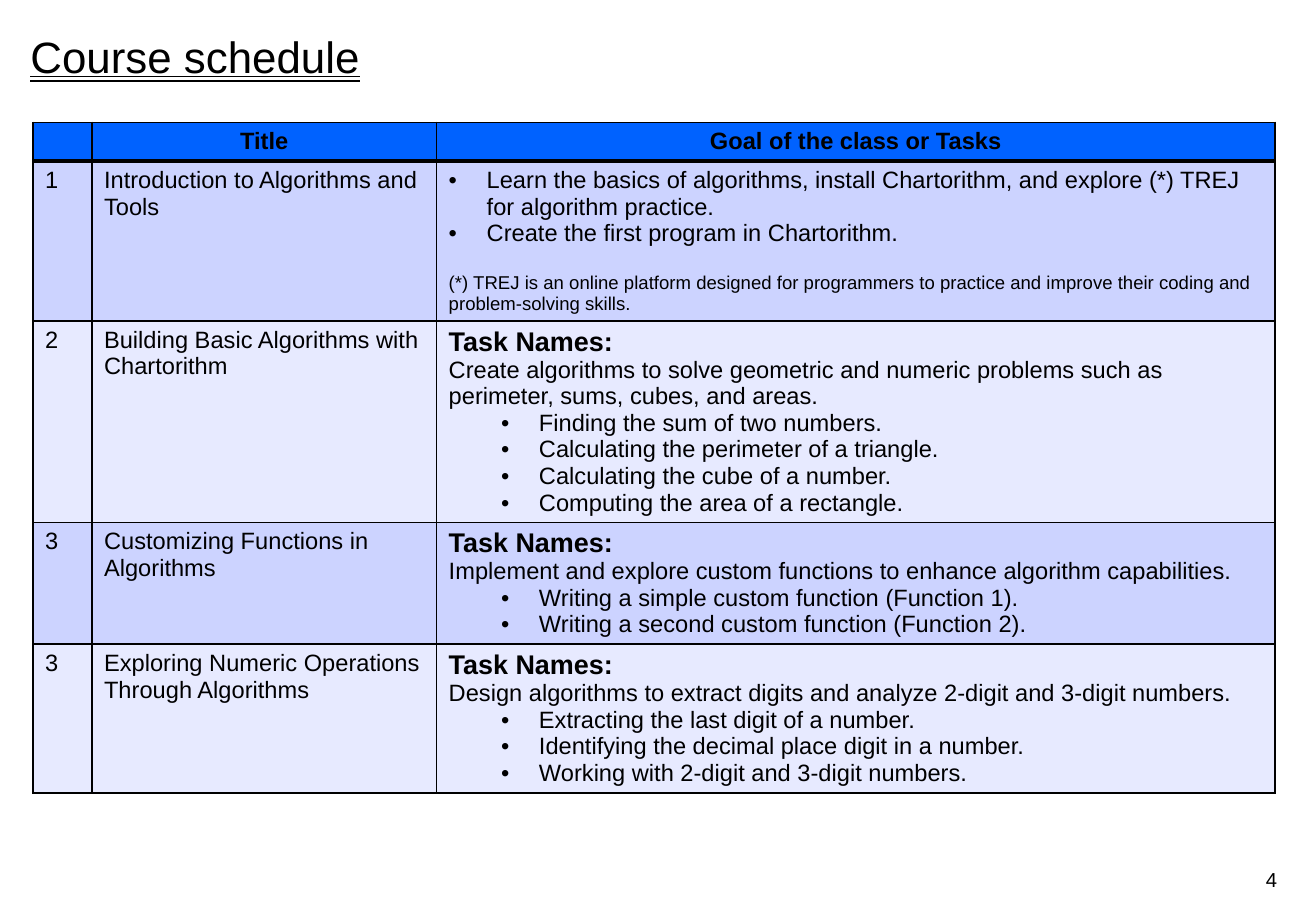
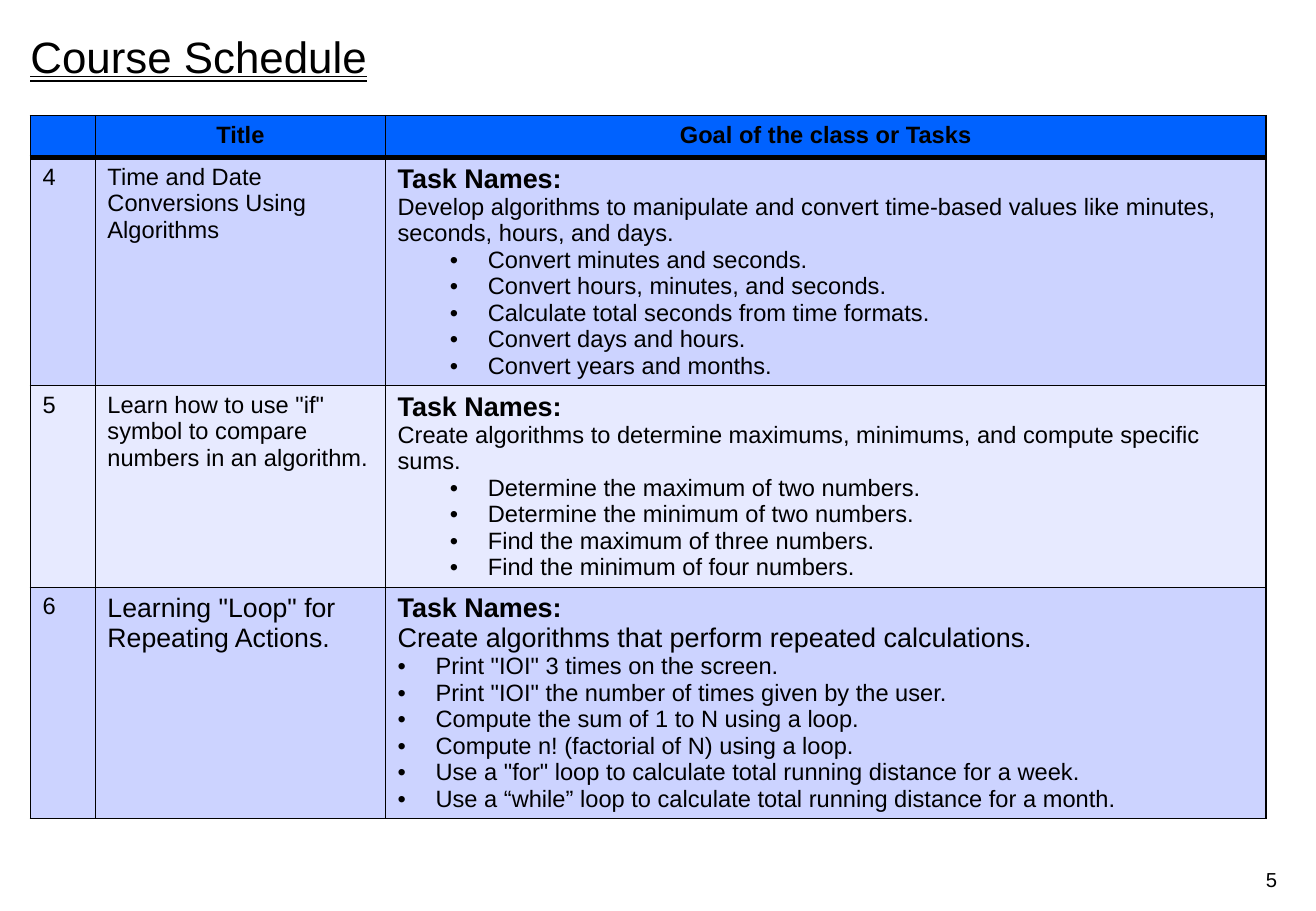
from lxml import etree
from pptx import Presentation
from pptx import util as u
from pptx.dml.color import RGBColor
from pptx.enum import text
from pptx.oxml.ns import qn

Pt = u.Pt

BLACK = RGBColor(0x00, 0x00, 0x00)
HEADER = RGBColor(0x00, 0x62, 0xFF)
BANDS = (RGBColor(0xCC, 0xD3, 0xFF), RGBColor(0xE7, 0xEA, 0xFF))
FONT = "Arial"
HEADINGS = ("", "Title", "Goal of the class or Tasks")

# Paragraph styles: size, bold, centred, bullet indent, level, space before
STYLES = {
    "head": (14, True, True, 0, 0, 0),
    "body": (14, False, False, 0, 0, 0),
    "large": (16, False, False, 0, 0, 0),
    "topic": (15.8, False, False, 0, 0, 0),
    "tasks": (16, True, False, 0, 0, 0),
    "note": (11, False, False, 0, 0, 15.6),
    "bullet": (14, False, False, 22.5, 0, 0),
    "sub": (14, False, False, 53.5, 1, 0),
}
HANGING = 22.5


def paras(style, *lines):
    return [(style, line) for line in lines]


def tasks(goal, *items, goal_style="body", item_style="sub"):
    return (paras("tasks", "Task Names:") + paras(goal_style, goal)
            + paras(item_style, *items))


class Deck:
    """Shared style plus the slide being built."""

    def __init__(self):
        self.prs = Presentation()
        self.prs.slide_width, self.prs.slide_height = Pt(780), Pt(540)
        self.s = None

    def slide(self, title, number):
        self.s = self.prs.slides.add_slide(self.prs.slide_layouts[5])
        self.title(title)
        self.page_number(number)

    def frame(self, sp, anchor):
        tf = sp.text_frame
        tf.word_wrap = True
        tf.auto_size = text.MSO_AUTO_SIZE.NONE
        tf.vertical_anchor = anchor
        tf.margin_left = tf.margin_right = tf.margin_top = tf.margin_bottom = 0
        return tf

    def font(self, r, size, bold=False):
        r.font.name, r.font.size, r.font.bold = FONT, Pt(size), bold
        r.font.color.rgb = BLACK

    def title(self, words):
        sp = self.s.shapes.title
        sp.left, sp.top, sp.width, sp.height = Pt(18), Pt(21), Pt(353.5), Pt(84)
        tf = self.frame(sp, text.MSO_ANCHOR.TOP)
        tf.text = words
        p = tf.paragraphs[0]
        p.alignment, p.line_spacing = text.PP_ALIGN.LEFT, 0.9
        self.font(p.runs[0], 26)
        p.runs[0].font.underline = text.MSO_UNDERLINE.DOUBLE_LINE

    def page_number(self, number):
        sp = self.s.shapes.add_textbox(Pt(565), Pt(512.5), Pt(192), Pt(17.5))
        tf = self.frame(sp, text.MSO_ANCHOR.MIDDLE)
        tf.text = str(number)
        tf.paragraphs[0].alignment = text.PP_ALIGN.RIGHT
        self.font(tf.paragraphs[0].runs[0], 12)

    def paragraph(self, p, style, words):
        size, bold, centred, indent, level, before = STYLES[style]
        p.text = words
        p.alignment = text.PP_ALIGN.CENTER if centred else text.PP_ALIGN.LEFT
        p.level = level
        if before:
            p.space_before = Pt(before)
        for r in p.runs:
            self.font(r, size, bold)
        if not words:
            # Keeps an empty cell from growing to the default size
            end = etree.SubElement(p._p, qn("a:endParaRPr"), sz=str(size * 100))
            etree.SubElement(end, qn("a:latin"), typeface=FONT)
        if indent:
            pPr = p._p.get_or_add_pPr()
            pPr.set("marL", str(Pt(indent)))
            pPr.set("indent", str(-Pt(HANGING)))
            etree.SubElement(pPr, qn("a:buFont"), typeface=FONT)
            etree.SubElement(pPr, qn("a:buChar"), char="•")

    def borders(self, cell, top, bottom):
        tcPr = cell._tc.get_or_add_tcPr()
        widths = {"lnL": 1, "lnR": 1, "lnT": top, "lnB": bottom}
        for i, (side, width) in enumerate(widths.items()):
            ln = etree.Element(qn("a:" + side), w=str(Pt(width)))
            fill = etree.SubElement(ln, qn("a:solidFill"))
            etree.SubElement(fill, qn("a:srgbClr"), val=str(BLACK))
            tcPr.insert(i, ln)

    def cell(self, cell, content, fill, top=1, bottom=1):
        cell.fill.solid()
        cell.fill.fore_color.rgb = fill
        self.borders(cell, top, bottom)
        tf = cell.text_frame
        for i, (style, words) in enumerate(content):
            p = tf.add_paragraph() if i else tf.paragraphs[0]
            self.paragraph(p, style, words)

    def schedule(self, left, top, widths, heights, classes):
        rows = [[paras("head", h) for h in HEADINGS]]
        rows += [[paras("body", number), paras(style, name), goal]
                 for number, style, name, goal in classes]
        tbl = self.s.shapes.add_table(len(rows), len(widths), Pt(left), Pt(top),
                                      Pt(sum(widths)), Pt(sum(heights))).table
        tbl.first_row = tbl.horz_banding = False
        for col, width in zip(tbl.columns, widths):
            col.width = Pt(width)
        for i, (row, height) in enumerate(zip(rows, heights)):
            tbl.rows[i].height = Pt(height)
            for j, content in enumerate(row):
                self.cell(tbl.cell(i, j), content,
                          BANDS[(i - 1) % 2] if i else HEADER,
                          top=3 if i == 1 else 1, bottom=1 if i else 3)


def main():
    d = Deck()

    # Classes 1 to 3
    d.slide("Course schedule", 4)
    d.schedule(19.5, 72.5, (35, 204.3, 497), (23, 94.7, 119.2, 72, 88.3), [
        ("1", "body", "Introduction to Algorithms and Tools",
         paras("bullet",
               "Learn the basics of algorithms, install Chartorithm, and explore "
               "(*) TREJ for algorithm practice.",
               "Create the first program in Chartorithm.")
         + paras("note",
                 "(*) TREJ is an online platform designed for programmers to "
                 "practice and improve their coding and problem-solving skills.")),
        ("2", "body", "Building Basic Algorithms with Chartorithm",
         tasks("Create algorithms to solve geometric and numeric problems such as "
               "perimeter, sums, cubes, and areas.",
               "Finding the sum of two numbers.",
               "Calculating the perimeter of a triangle.",
               "Calculating the cube of a number.",
               "Computing the area of a rectangle.")),
        ("3", "body", "Customizing Functions in Algorithms",
         tasks("Implement and explore custom functions to enhance algorithm "
               "capabilities.",
               "Writing a simple custom function (Function 1).",
               "Writing a second custom function (Function 2).")),
        ("3", "body", "Exploring Numeric Operations Through Algorithms",
         tasks("Design algorithms to extract digits and analyze 2-digit and "
               "3-digit numbers.",
               "Extracting the last digit of a number.",
               "Identifying the decimal place digit in a number.",
               "Working with 2-digit and 3-digit numbers.")),
    ])

    # Classes 4 to 6
    d.slide("Course Schedule", 5)
    d.schedule(18, 68.5, (38.5, 172, 522), (25, 135, 119.5, 137), [
        ("4", "body", "Time and Date Conversions Using Algorithms",
         tasks("Develop algorithms to manipulate and convert time-based values "
               "like minutes, seconds, hours, and days.",
               "Convert minutes and seconds.",
               "Convert hours, minutes, and seconds.",
               "Calculate total seconds from time formats.",
               "Convert days and hours.",
               "Convert years and months.")),
        ("5", "body",
         'Learn how to use "if" symbol to compare numbers in an algorithm.',
         tasks("Create algorithms to determine maximums, minimums, and compute "
               "specific sums.",
               "Determine the maximum of two numbers.",
               "Determine the minimum of two numbers.",
               "Find the maximum of three numbers.",
               "Find the minimum of four numbers.")),
        ("6", "topic", 'Learning "Loop" for Repeating Actions.',
         tasks("Create algorithms that perform repeated calculations.",
               'Print "IOI" 3 times on the screen.',
               'Print "IOI" the number of times given by the user.',
               "Compute the sum of 1 to N using a loop.",
               "Compute n! (factorial of N) using a loop.",
               'Use a "for" loop to calculate total running distance for a week.',
               "Use a “while” loop to calculate total running distance for a month.",
               goal_style="large", item_style="bullet")),
    ])
    d.prs.save("out.pptx")


if __name__ == "__main__":
    main()
